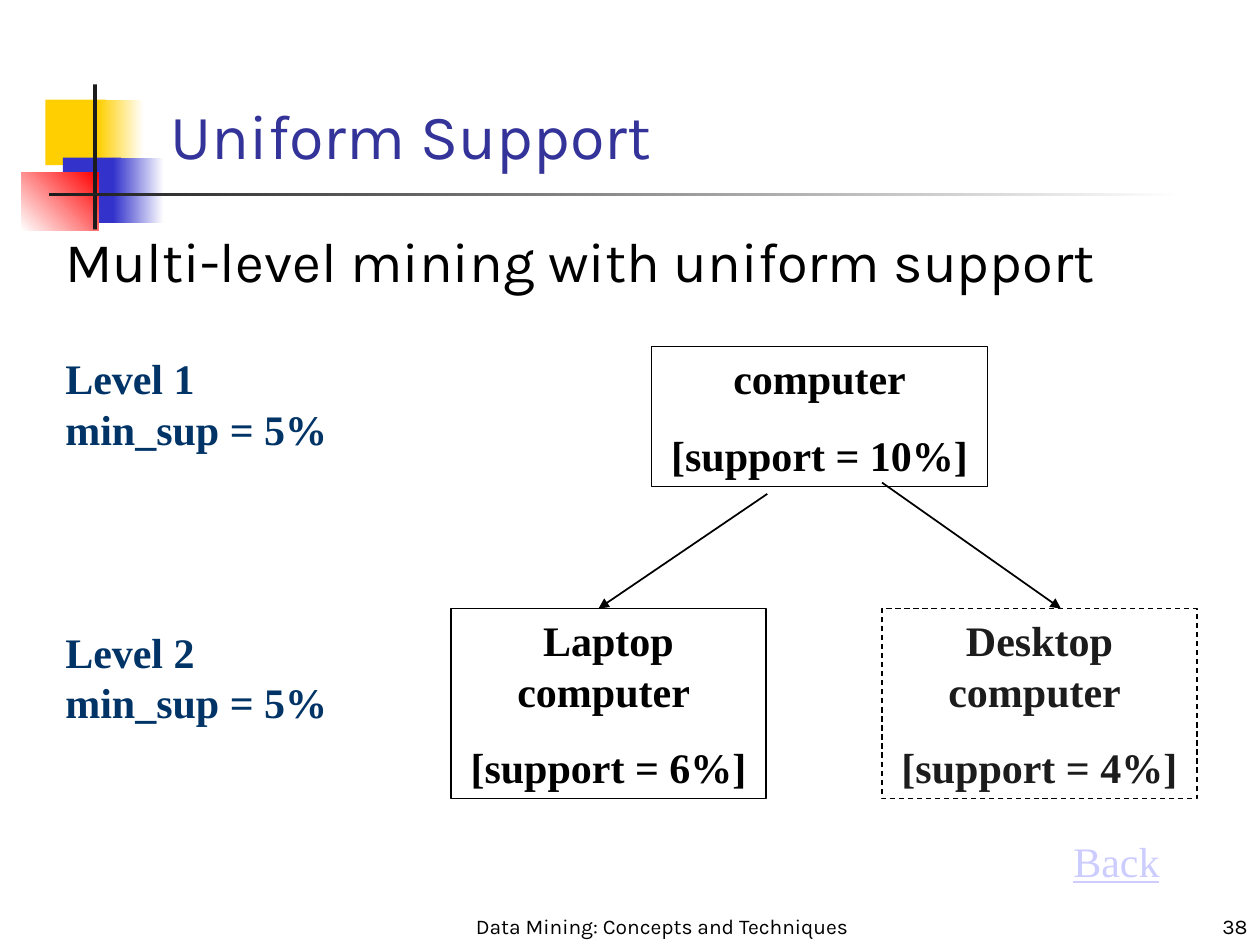
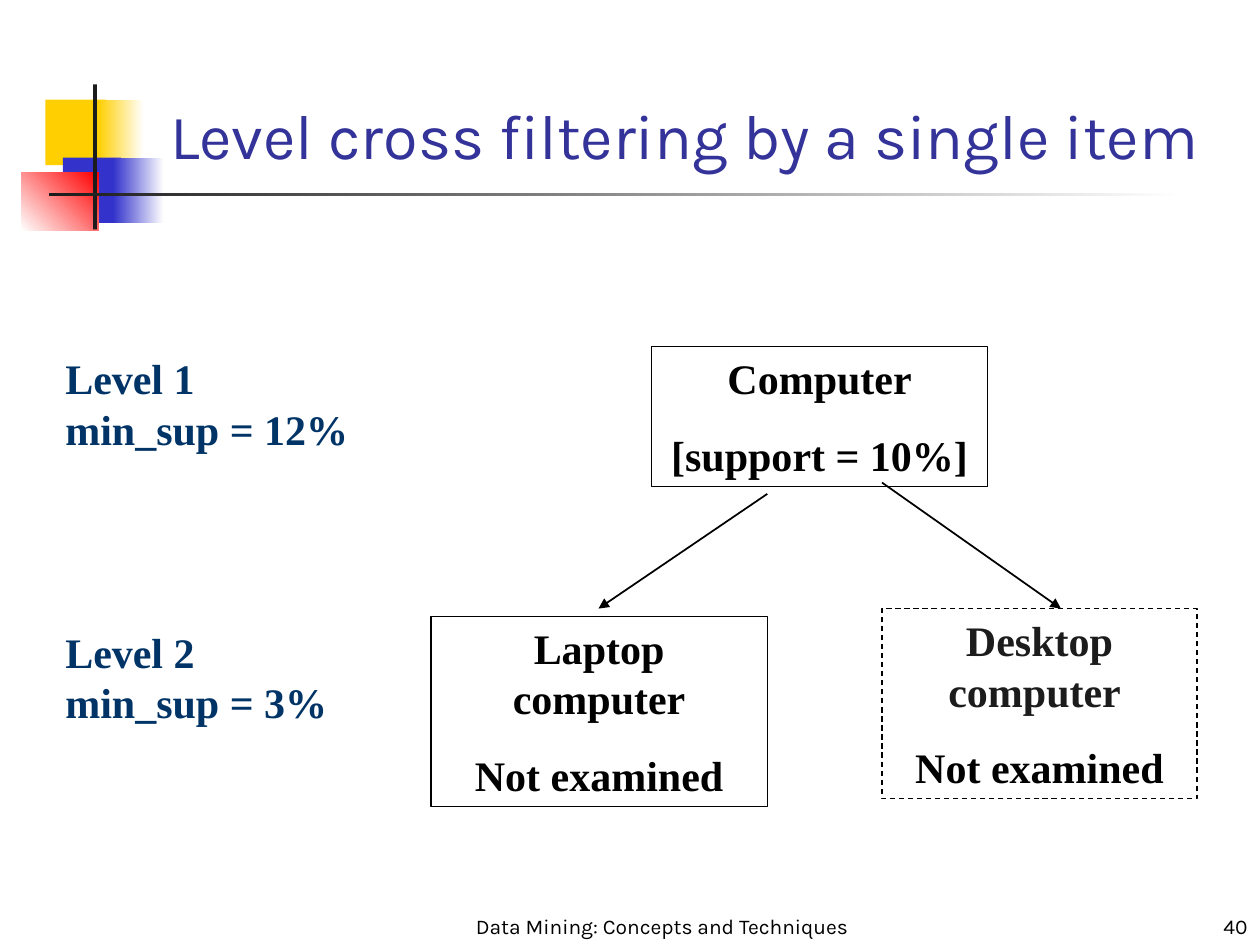
from lxml import etree
from pptx import Presentation
from pptx.dml.color import RGBColor
from pptx.enum.dml import MSO_LINE
from pptx.enum.shapes import MSO_CONNECTOR, MSO_SHAPE
from pptx.enum.text import MSO_ANCHOR, MSO_AUTO_SIZE, PP_ALIGN
from pptx.oxml.ns import qn
from pptx.util import Inches, Pt

RECTANGLE = MSO_SHAPE.RECTANGLE
STRAIGHT = MSO_CONNECTOR.STRAIGHT
DASH = MSO_LINE.DASH
TOP, BOTTOM = MSO_ANCHOR.TOP, MSO_ANCHOR.BOTTOM
FIXED_SIZE = MSO_AUTO_SIZE.NONE
LEFT, CENTER, RIGHT = PP_ALIGN.LEFT, PP_ALIGN.CENTER, PP_ALIGN.RIGHT

BLACK = RGBColor(0x00, 0x00, 0x00)
WHITE = RGBColor(0xFF, 0xFF, 0xFF)
CHARCOAL = RGBColor(0x1C, 0x1C, 0x1C)
YELLOW = RGBColor(0xFF, 0xCF, 0x01)
BLUE = RGBColor(0x33, 0x33, 0xCC)
RED = RGBColor(0xFF, 0x00, 0x00)
TITLE_BLUE = RGBColor(0x33, 0x33, 0x99)
LEVEL_BLUE = RGBColor(0x00, 0x33, 0x66)
LINK_LILAC = RGBColor(0xCC, 0xCC, 0xFF)

SANS = "Karla"
SERIF = "Times New Roman"
FOOTER = "Data Mining: Concepts and Techniques"
TITLE_AND_BODY, TITLE_ONLY = 1, 5

TITLE_AREA = (1.25, 0.75, 8.52, 0.67)
BODY_AREA = (0.42, 1.75, 9.17, 1.08)
FOOTER_AREA = (3.67, 7.08, 3.17, 0.42)
NUMBER_AREA = (7.92, 7.08, 2.08, 0.42)
BACK_AREA = (8.42, 6.58, 0.88, 0.5)
PARENT_AREA = (5.17, 2.75, 2.67, 1.11)
DESKTOP_AREA = (7, 4.83, 2.5, 1.51)
LEVEL_LEFT, LEVEL_TOPS = 0.42, (2.75, 4.92)
LEVEL_SIZE = (2.44, 0.9)
BRANCHES = [((6.09, 3.92), (4.75, 4.83)), ((7, 3.83), (8.42, 4.83))]

MOTIF = [
    ((0.36, 0.79, 0.48, 0.52), (YELLOW,), 0),
    ((0.78, 0.79, 0.36, 0.52), (YELLOW, WHITE), 0),
    ((0.5, 1.25, 0.46, 0.52), (BLUE,), 0),
    ((0.9, 1.25, 0.4, 0.52), (BLUE, WHITE), 0),
    ((0.17, 1.37, 0.61, 0.46), (WHITE, RED), 45),
    ((0.74, 0.67, 0.03, 1.15), (CHARCOAL,), 0),
    ((0.39, 1.53, 9, 0.03), (CHARCOAL, WHITE), 0),
]

SLIDES = [
    {
        "title": "Uniform Support",
        "number": "38",
        "body": "Multi-level mining with uniform support",
        "levels": [("Level 1", "min_sup = 5%"), ("Level 2", "min_sup = 5%")],
        "parent": ("computer", "[support = 10%]"),
        "laptop": ("Laptop computer ", "[support = 6%]"),
        "laptop_area": (3.58, 4.83, 2.5, 1.51),
        "desktop": ("Desktop computer ", "[support = 4%]"),
        "desktop_colors": (CHARCOAL, CHARCOAL),
        "back": "Back",
    },
    {
        "title": "Level cross filtering by a single item",
        "number": "40",
        "levels": [("Level 1", "min_sup = 12%"), ("Level 2", "min_sup = 3%")],
        "parent": ("Computer", "[support = 10%]"),
        "laptop": ("Laptop computer", "Not examined"),
        "laptop_area": (3.42, 4.89, 2.67, 1.51),
        "desktop": ("Desktop computer ", "Not examined"),
        "desktop_colors": (CHARCOAL, BLACK),
    },
]


def inches(values):
    return [Inches(value) for value in values]


def write(shape, lines, font, size, colors, align=LEFT, anchor=TOP,
          bold=False, gap=0, wrap=True):
    frame = shape.text_frame
    frame.text = "\n".join(lines)
    frame.auto_size = FIXED_SIZE
    frame.word_wrap = wrap
    frame.vertical_anchor = anchor
    for index, (paragraph, color) in enumerate(zip(frame.paragraphs, colors)):
        paragraph.alignment = align
        paragraph.space_before = Pt(gap if index else 0)
        for run in paragraph.runs:
            run.font.name = font
            run.font.size = Pt(size)
            run.font.bold = bold
            run.font.color.rgb = color


def add_text(slide, area, lines, font, size, color, **style):
    box = slide.shapes.add_textbox(*inches(area))
    write(box, lines, font, size, [color] * len(lines), **style)
    return box


def place(placeholder, area):
    (placeholder.left, placeholder.top,
     placeholder.width, placeholder.height) = inches(area)


def add_rectangle(slide, area, color):
    shape = slide.shapes.add_shape(RECTANGLE, *inches(area))
    shape.shadow.inherit = False
    shape.fill.solid()
    shape.fill.fore_color.rgb = color
    return shape


def add_motif(slide):
    for area, colors, angle in MOTIF:
        shape = add_rectangle(slide, area, colors[0])
        shape.line.fill.background()
        if len(colors) > 1:
            shape.fill.gradient()
            shape.fill.gradient_angle = angle
            for stop, color in zip(shape.fill.gradient_stops, colors):
                stop.color.rgb = color


def add_node(slide, area, lines, colors=(BLACK, BLACK)):
    node = add_rectangle(slide, area, WHITE)
    node.line.color.rgb = BLACK
    node.line.width = Pt(0.75)
    write(node, lines, SERIF, 24, colors, align=CENTER, bold=True, gap=15)
    return node


def add_desktop(slide, lines, colors):
    node = add_node(slide, DESKTOP_AREA, lines, colors)
    node.line.dash_style = DASH
    fill_color = node.fill._xPr.find(qn("a:solidFill"))[0]
    etree.SubElement(fill_color, qn("a:alpha"), val="50000")


def add_branch(slide, start, end):
    arrow = slide.shapes.add_connector(STRAIGHT, *inches(start + end))
    arrow.line.color.rgb = BLACK
    arrow.line.width = Pt(1)
    etree.SubElement(arrow.line._get_or_add_ln(), qn("a:tailEnd"), type="triangle")
    etree.SubElement(arrow._element.spPr, qn("a:effectLst"))


def add_body(slide, text):
    body = slide.placeholders[1]
    place(body, BODY_AREA)
    write(body, [text], SANS, 32, [BLACK])
    properties = body.text_frame.paragraphs[0]._p.get_or_add_pPr()
    properties.set("marL", str(Inches(0.38)))
    properties.set("indent", str(Inches(-0.38)))
    etree.SubElement(properties, qn("a:buNone"))


def add_slide(presentation, content):
    layout = TITLE_AND_BODY if "body" in content else TITLE_ONLY
    slide = presentation.slides.add_slide(presentation.slide_layouts[layout])
    add_motif(slide)
    title = slide.shapes.title
    place(title, TITLE_AREA)
    write(title, [content["title"]], SANS, 36, [TITLE_BLUE], anchor=BOTTOM)
    if "body" in content:
        add_body(slide, content["body"])
    add_text(slide, FOOTER_AREA, [FOOTER], SANS, 12, BLACK,
             align=CENTER, anchor=BOTTOM)
    add_text(slide, NUMBER_AREA, [content["number"]], SANS, 12, BLACK,
             align=RIGHT, anchor=BOTTOM)

    add_node(slide, PARENT_AREA, content["parent"])
    add_node(slide, content["laptop_area"], content["laptop"])
    add_desktop(slide, content["desktop"], content["desktop_colors"])
    for start, end in BRANCHES:
        add_branch(slide, start, end)
    for top, lines in zip(LEVEL_TOPS, content["levels"]):
        add_text(slide, (LEVEL_LEFT, top, *LEVEL_SIZE), lines, SERIF, 24,
                 LEVEL_BLUE, bold=True, wrap=False)
    if "back" in content:
        back = add_text(slide, BACK_AREA, [content["back"]], SERIF, 24,
                        LINK_LILAC, wrap=False)
        back.text_frame.paragraphs[0].runs[0].font.underline = True


def main():
    presentation = Presentation()
    presentation.slide_width = Inches(10)
    presentation.slide_height = Inches(7.5)
    for content in SLIDES:
        add_slide(presentation, content)
    presentation.save("out.pptx")


if __name__ == "__main__":
    main()
